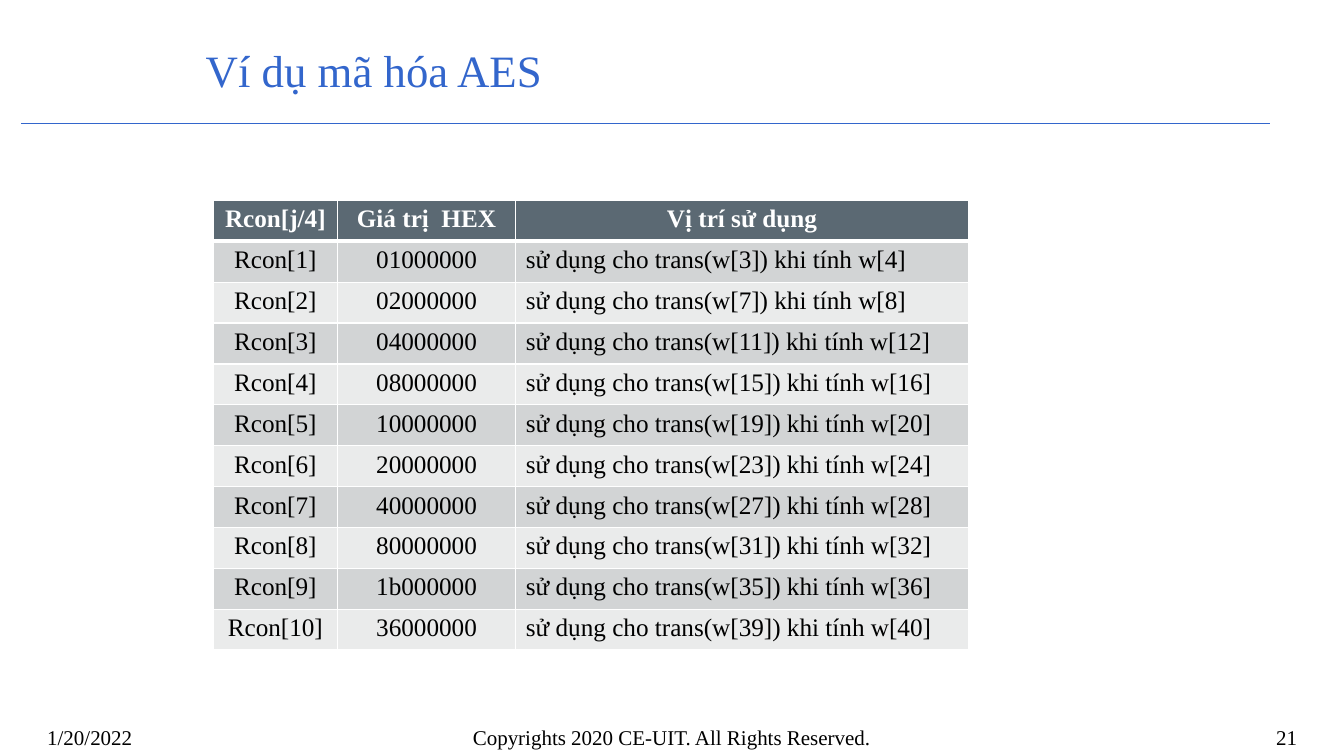
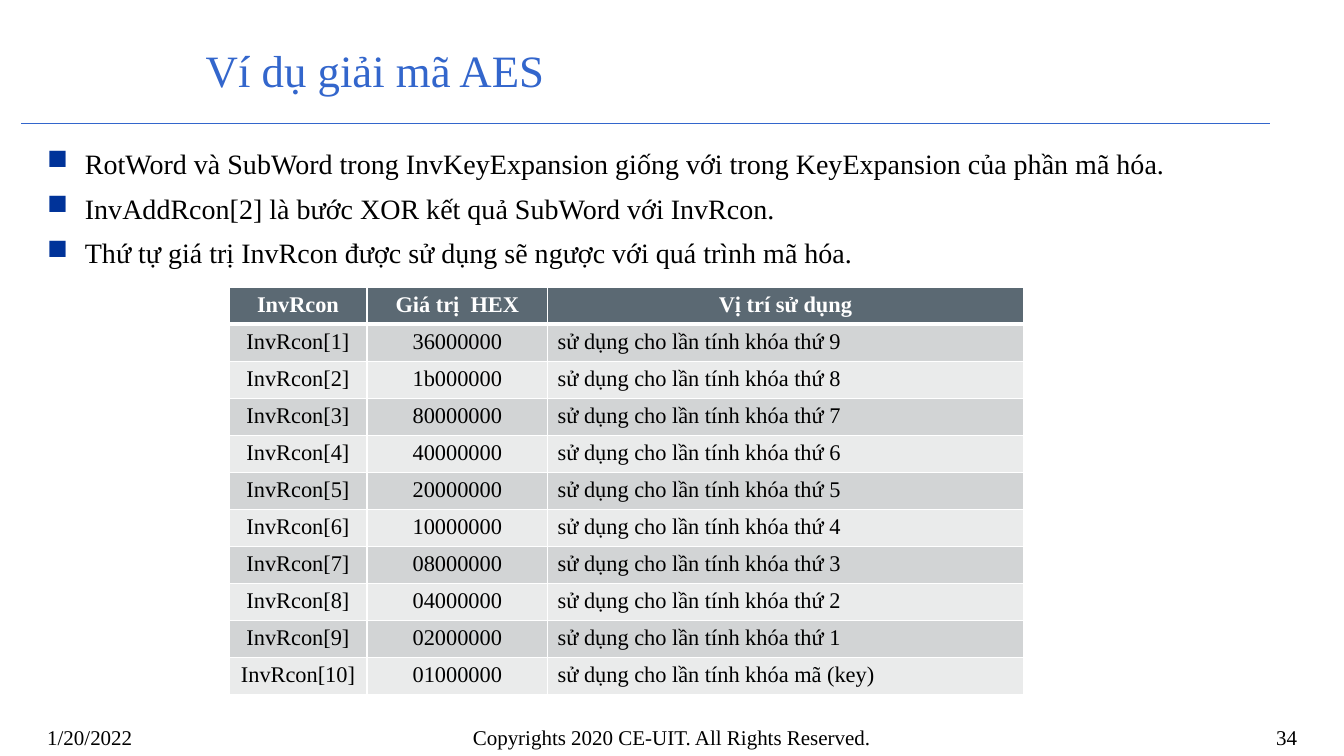
from lxml import etree
from pptx import Presentation
from pptx import util as u
from pptx.dml.color import RGBColor
from pptx.enum import shapes, text
from pptx.oxml import ns

FONT = "Times New Roman"
TITLE_BLUE = RGBColor(0x33, 0x66, 0xCC)
BULLET_BLUE = RGBColor(0x00, 0x33, 0x99)
BLACK = RGBColor(0, 0, 0)
WHITE = RGBColor(0xFF, 0xFF, 0xFF)
HEADER_FILL = RGBColor(0x5B, 0x69, 0x73)
BAND_FILLS = (RGBColor(0xD2, 0xD4, 0xD5), RGBColor(0xEA, 0xEB, 0xEB))

LEFT, CENTER, RIGHT, JUSTIFY = (
    text.PP_ALIGN.LEFT, text.PP_ALIGN.CENTER,
    text.PP_ALIGN.RIGHT, text.PP_ALIGN.JUSTIFY)

DATE = "1/20/2022"
COPYRIGHT = "Copyrights 2020 CE-UIT. All Rights Reserved."
ROUND_CONSTANTS = [byte + "000000" for byte in
                   ("01", "02", "04", "08", "10", "20", "40", "80", "1b", "36")]


def write(frame, *lines, size, color=BLACK, bold=False, align=LEFT,
          before=0, after=0, bullet=None):
    """Fill a text frame with one paragraph per line."""
    frame.word_wrap = True
    for index, line in enumerate(lines):
        para = frame.add_paragraph() if index else frame.paragraphs[0]
        para.alignment = align
        para.space_before, para.space_after = u.Pt(before), u.Pt(after)
        span = para.add_run()
        span.text = line
        span.font.name, span.font.size = FONT, u.Pt(size)
        span.font.bold, span.font.color.rgb = bold, color
        if bullet:
            add_bullet(para, bullet)


def add_bullet(para, symbol):
    props = para._p.get_or_add_pPr()
    indent = u.Cm(0.95)
    props.set("marL", str(indent))
    props.set("indent", str(-indent))
    tint = etree.SubElement(props, ns.qn("a:buClr"))
    etree.SubElement(tint, ns.qn("a:srgbClr"), val=str(BULLET_BLUE))
    etree.SubElement(props, ns.qn("a:buChar"), char=symbol)


def add_text(page, box, *lines, **style):
    """Add a text box; box is left, top, width, height in cm."""
    area = page.shapes.add_textbox(*map(u.Cm, box))
    write(area.text_frame, *lines, **style)


def set_borders(cell, **widths):
    """Draw white cell borders, given in points for L, R, T and B."""
    props = cell._tc.get_or_add_tcPr()
    for side, width in widths.items():
        line = etree.SubElement(props, ns.qn("a:ln" + side), w=str(u.Pt(width)))
        fill = etree.SubElement(line, ns.qn("a:solidFill"))
        etree.SubElement(fill, ns.qn("a:srgbClr"), val=str(WHITE))


def add_grid(page, left, top, widths, row_height, rows, size):
    """Add a banded table with a dark header row."""
    frame = page.shapes.add_table(
        len(rows), len(widths), u.Cm(left), u.Cm(top),
        u.Cm(sum(widths)), u.Cm(row_height * len(rows)))
    table = frame.table
    table.horz_banding = False
    for column, width in zip(table.columns, widths):
        column.width = u.Cm(width)
    for r, values in enumerate(rows):
        table.rows[r].height = u.Cm(row_height)
        header = r == 0
        for c, value in enumerate(values):
            cell = table.cell(r, c)
            set_borders(cell, L=1, R=1, T=3 if r == 1 else 1, B=3 if header else 1)
            cell.fill.solid()
            cell.fill.fore_color.rgb = HEADER_FILL if header else BAND_FILLS[(r - 1) % 2]
            write(cell.text_frame, value, size=size, bold=header,
                  color=WHITE if header else BLACK,
                  align=CENTER if header or c < 2 else LEFT)


def add_footer(page, top, number):
    for left, width, label, align in ((0.94, 7.9, DATE, LEFT),
                                      (26.44, 6.5, str(number), RIGHT),
                                      (6.53, 20.8, COPYRIGHT, CENTER)):
        add_text(page, (left, top, width, 0.81), label, size=15, align=align)


def add_page(deck, heading, number):
    """Add a slide with title, rule and footer."""
    page = deck.slides.add_slide(deck.slide_layouts.get_by_name("Title Only"))

    # Rule under the title
    rule = page.shapes.add_connector(
        shapes.MSO_CONNECTOR.STRAIGHT, u.Cm(0.53), u.Cm(3.12), u.Cm(32), u.Cm(3.12))
    rule.line.color.rgb, rule.line.width = TITLE_BLUE, u.Pt(0.75)
    etree.SubElement(rule._element.spPr, ns.qn("a:effectLst"))

    # Title
    title = page.shapes.title
    title.left, title.top, title.width, title.height = map(
        u.Cm, (4.93, 0.79, 27.23, 1.93))
    title.text_frame.vertical_anchor = text.MSO_ANCHOR.MIDDLE
    write(title.text_frame, heading, size=32, color=TITLE_BLUE)

    add_footer(page, 18.14, number)
    return page


def encryption_page(deck):
    page = add_page(deck, "Ví dụ mã hóa AES", 21)
    rows = [("Rcon[j/4]", "Giá trị  HEX", "Vị trí sử dụng")]
    for i, value in enumerate(ROUND_CONSTANTS, 1):
        rows.append((f"Rcon[{i}]", value,
                     f"sử dụng cho trans(w[{4 * i - 1}]) khi tính w[{4 * i}]"))
    add_grid(page, 5.38, 5.05, (3.12, 4.5, 11.4), 1.03, rows, size=18)


def decryption_page(deck):
    page = add_page(deck, "Ví dụ giải mã AES", 34)
    add_text(
        page, (0.94, 3.56, 32, 3.35),
        "RotWord và SubWord trong InvKeyExpansion giống với trong KeyExpansion của phần mã hóa.",
        "InvAddRcon[2] là bước XOR kết quả SubWord với InvRcon.",
        "Thứ tự giá trị InvRcon được sử dụng sẽ ngược với quá trình mã hóa.",
        size=20, align=JUSTIFY, before=5, after=3, bullet="■")
    rows = [("InvRcon", "Giá trị  HEX", "Vị trí sử dụng")]
    for i, value in enumerate(reversed(ROUND_CONSTANTS), 1):
        key = f"thứ {10 - i}" if i < 10 else "mã (key)"
        rows.append((f"InvRcon[{i}]", value, f"sử dụng cho lần tính khóa {key}"))
    add_grid(page, 5.77, 7.24, (3.48, 4.55, 11.99), 0.88, rows, size=16)


def main():
    deck = Presentation()
    deck.slide_width, deck.slide_height = u.Cm(33.87), u.Cm(19.05)
    encryption_page(deck)
    decryption_page(deck)
    deck.save("out.pptx")


if __name__ == "__main__":
    main()
